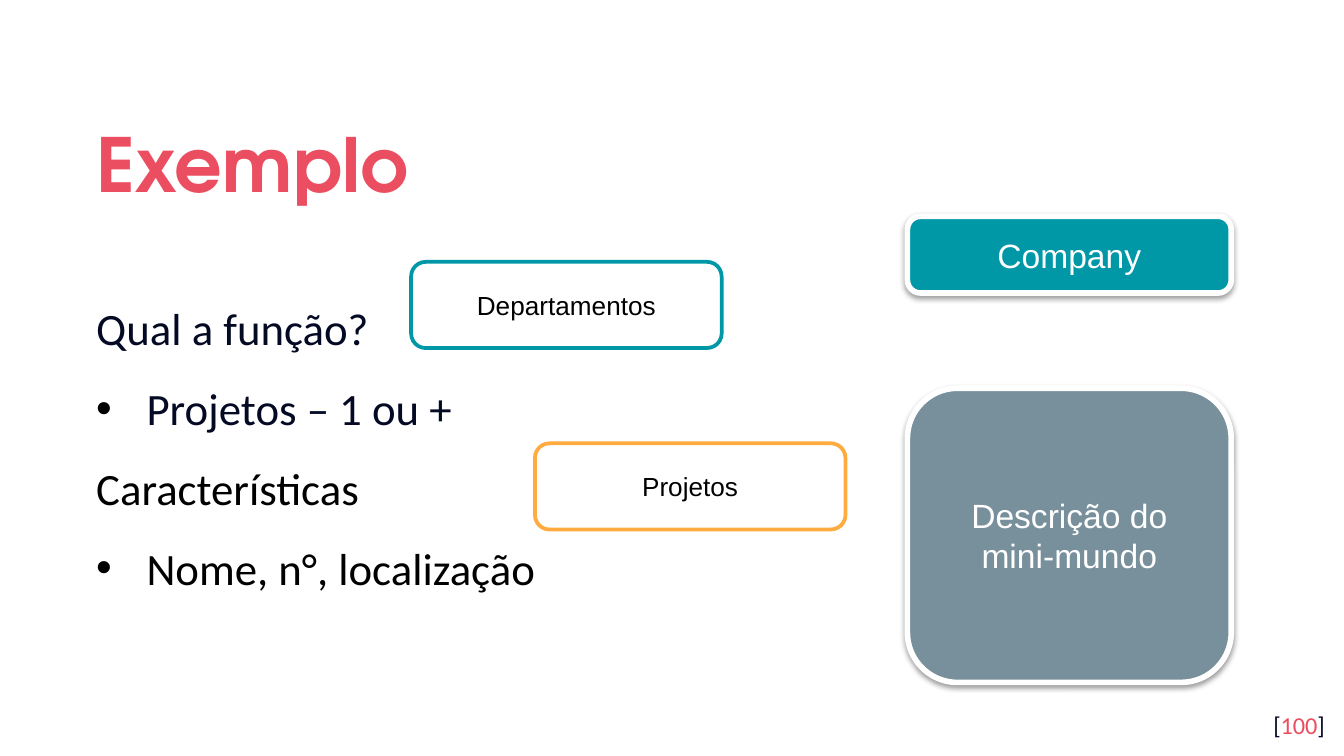
import pptx
import pptx.util
import pptx.dml.color
import pptx.enum.shapes
import pptx.enum.text
import pptx.oxml
import pptx.oxml.ns

Cm, Pt = pptx.util.Cm, pptx.util.Pt
ALIGN = pptx.enum.text.PP_ALIGN
ANCHOR = pptx.enum.text.MSO_ANCHOR
RGB = pptx.dml.color.RGBColor.from_string
NS = pptx.oxml.ns.nsdecls("a")
COLORS = {"navy": "040A24", "black": "000000", "white": "FFFFFF", "red": "EA4E60",
          "teal": "0097A7", "gray": "78909C", "orange": "FFAB40"}


def write(par, text, size=24, font="Calibri", color="navy", bold=False):
    run = par.add_run()
    run.text = text
    run.font.size = Pt(size)
    run.font.name = font
    run.font.bold = bold
    run.font.color.rgb = RGB(COLORS[color])


def setup(frame, anchor, inset=0.25):
    frame.word_wrap = True
    frame.auto_size = pptx.enum.text.MSO_AUTO_SIZE.NONE
    frame.vertical_anchor = anchor
    frame.margin_left = frame.margin_right = Cm(inset)
    frame.margin_top = frame.margin_bottom = Cm(inset)
    return frame.paragraphs[0]


deck = pptx.Presentation()
deck.slide_width, deck.slide_height = Cm(25.4), Cm(14.29)
slide = deck.slides.add_slide(deck.slide_layouts[5])

title = slide.shapes.title
title.left, title.top, title.width, title.height = Cm(1.57), Cm(1.78), Cm(22.28), Cm(2.34)
par = setup(title.text_frame, ANCHOR.MIDDLE)
par.alignment = ALIGN.LEFT
par.line_spacing = 1.15
write(par, "Exemplo", size=40, font="TeX Gyre Adventor", color="red", bold=True)

body = slide.shapes.add_textbox(Cm(1.57), Cm(4.11), Cm(22.28), Cm(8.56))
par = setup(body.text_frame, ANCHOR.MIDDLE)
lines = [("Qual a função?", "navy", False), ("Projetos – 1 ou +", "navy", True),
         ("Características", "black", False), ("Nome, n°, localização", "black", True)]
for i, (text, color, bullet) in enumerate(lines):
    if i:
        par = body.text_frame.add_paragraph()
        par.space_before = Pt(10)
    par.alignment = ALIGN.JUSTIFY
    par.line_spacing = 1.14
    if bullet:
        props = par._p.get_or_add_pPr()
        props.set("marL", str(Cm(0.95)))
        props.set("indent", str(-Cm(0.95)))
        for xml in (f'<a:buClr {NS}><a:srgbClr val="{COLORS["black"]}"/></a:buClr>',
                    f'<a:buFont {NS} typeface="Arial"/>', f'<a:buChar {NS} char="•"/>'):
            props.append(pptx.oxml.parse_xml(xml))
    write(par, text, color=color)

page = slide.shapes.add_textbox(Cm(23.77), Cm(13.18), Cm(1.52), Cm(1.09))
par = setup(page.text_frame, ANCHOR.TOP)
par.alignment = ALIGN.RIGHT
for text, color in [("[", "navy"), ("100", "red"), ("]", "navy")]:
    write(par, text, size=13, color=color)

cards = [
    ("Company", 17.15, 4.09, 6.12, 1.45, "teal", "white", 3, 18, "white"),
    ("Descrição do mini-mundo", 17.15, 7.34, 6.12, 5.56, "gray", "white", 3, 18, "white"),
    ("Departamentos", 7.77, 4.95, 5.87, 1.63, "white", "teal", 2, 14, "black"),
    ("Projetos", 10.11, 8.38, 5.87, 1.63, "white", "orange", 2, 14, "black"),
]
for text, left, top, width, height, fill, edge, weight, size, color in cards:
    card = slide.shapes.add_shape(pptx.enum.shapes.MSO_SHAPE.ROUNDED_RECTANGLE,
                                  Cm(left), Cm(top), Cm(width), Cm(height))
    card.adjustments[0] = 0.17
    card.shadow.inherit = False
    card.fill.solid()
    card.fill.fore_color.rgb = RGB(COLORS[fill])
    card.line.color.rgb = RGB(COLORS[edge])
    card.line.width = Pt(weight)
    if edge == "white":
        effects = card._element.spPr.find(pptx.oxml.ns.qn("a:effectLst"))
        effects.append(pptx.oxml.parse_xml(
            f'<a:outerShdw {NS} blurRad="{Pt(3.1)}" dist="{Pt(1.6)}" dir="5400000" rotWithShape="0">'
            f'<a:srgbClr val="{COLORS["black"]}"><a:alpha val="38000"/></a:srgbClr></a:outerShdw>'))
    par = setup(card.text_frame, ANCHOR.MIDDLE)
    par.alignment = ALIGN.CENTER
    write(par, text, size=size, font="Arial", color=color)

deck.save("out.pptx")
